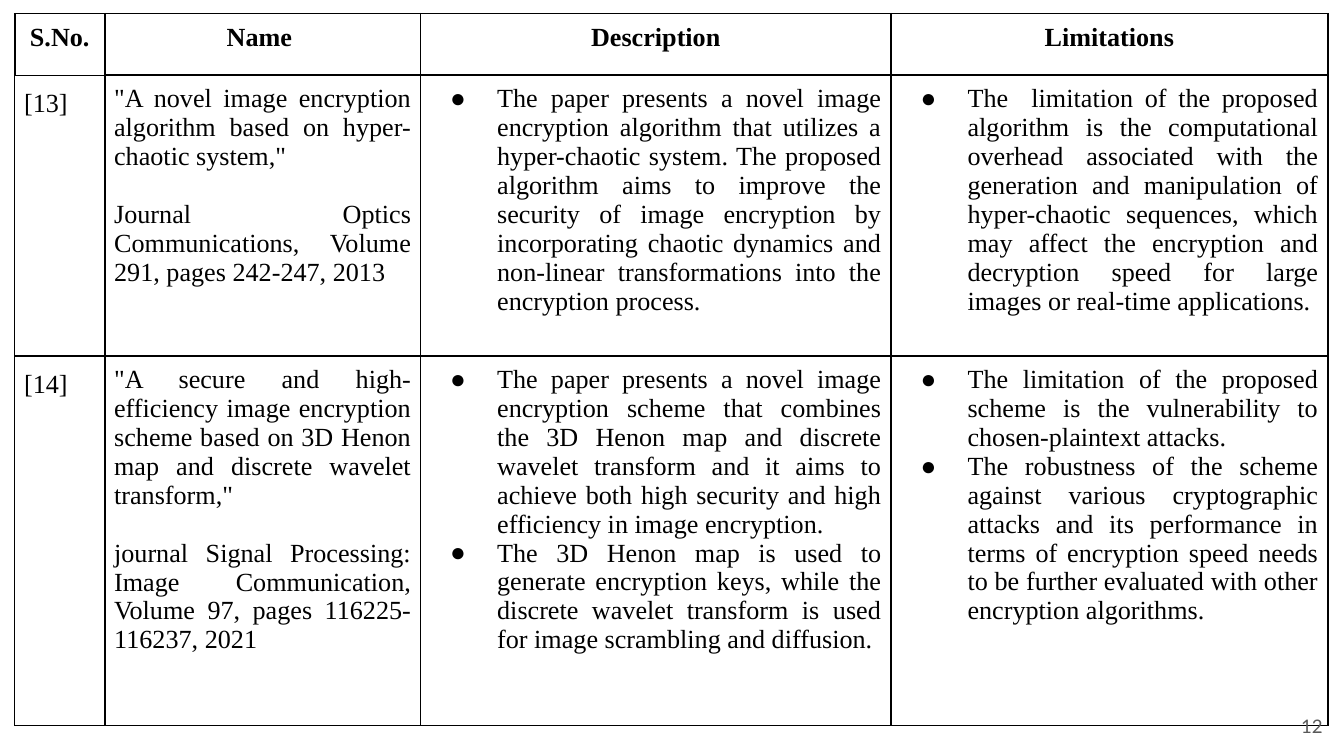
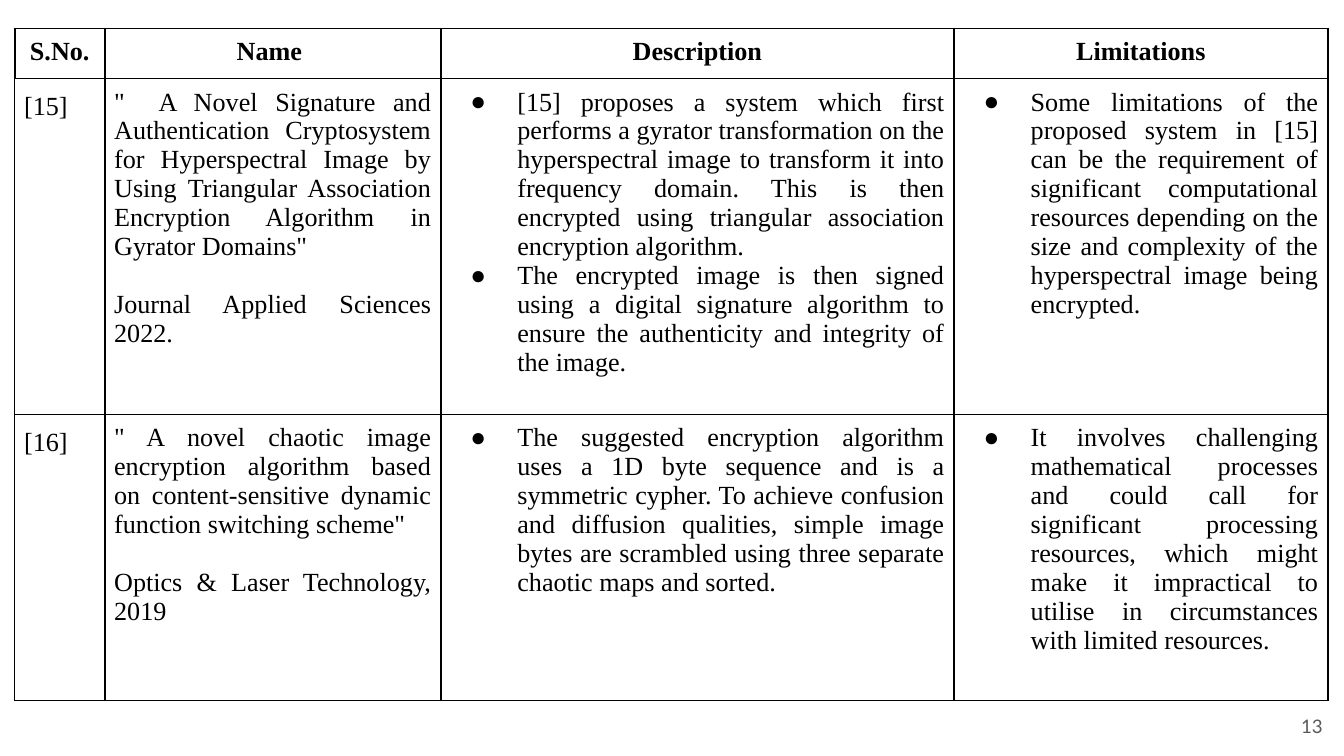
import pptx
import pptx.dml.color
import pptx.enum.text
import pptx.oxml
import pptx.oxml.ns
import pptx.util
import lxml.etree

Inches = pptx.util.Inches
Pt = pptx.util.Pt
ALIGN = pptx.enum.text.PP_ALIGN
BLACK = "000000"
GREY = "595959"
BODY_FONT = "Times New Roman"
HEADINGS = ["S.No.", "Name ", "Description", "Limitations"]

surveys = [
    {
        "page": "12",
        "top": 0.1,
        "columns": [0.67, 2.35, 3.5, 3.25],
        "rows": [0.46, 2.09, 2.75],
        "papers": [
            [
                ["[13]"],
                [
                    "\"A novel image encryption algorithm based on hyper-chaotic system,\"",
                    "Journal Optics Communications, Volume 291, pages 242-247, 2013",
                ],
                [
                    "The paper presents a novel image encryption algorithm that utilizes a hyper-chaotic system. "
                    "The proposed algorithm aims to improve the security of image encryption by incorporating "
                    "chaotic dynamics and non-linear transformations into the encryption process.",
                ],
                [
                    "The  limitation of the proposed algorithm is the computational overhead associated with the "
                    "generation and manipulation of hyper-chaotic sequences, which may affect the encryption and "
                    "decryption speed for large images or real-time applications. ",
                ],
            ],
            [
                ["[14]"],
                [
                    "\"A secure and high-efficiency image encryption scheme based on 3D Henon map and discrete "
                    "wavelet transform,\"",
                    "journal Signal Processing: Image Communication, Volume 97, pages 116225-116237, 2021",
                ],
                [
                    "The paper presents a novel image encryption scheme that combines the 3D Henon map and discrete "
                    "wavelet transform and it aims to achieve both high security and high efficiency in image "
                    "encryption. ",
                    "The 3D Henon map is used to generate encryption keys, while the discrete wavelet transform is "
                    "used for image scrambling and diffusion.",
                ],
                [
                    "The limitation of the proposed scheme is the vulnerability to chosen-plaintext attacks.",
                    "The robustness of the scheme against various cryptographic attacks and its performance in terms "
                    "of encryption speed needs to be further evaluated with other encryption algorithms.",
                ],
            ],
        ],
    },
    {
        "page": "13",
        "top": 0.21,
        "columns": [0.67, 2.5, 3.82, 2.78],
        "rows": [0.16, 2.5, 2.13],
        "papers": [
            [
                ["[15]"],
                [
                    "\"  A Novel Signature and Authentication Cryptosystem for Hyperspectral Image by Using "
                    "Triangular Association Encryption Algorithm in Gyrator Domains\" ",
                    "Journal Applied Sciences 2022. ",
                ],
                [
                    "[15] proposes a system which first performs a gyrator transformation on the hyperspectral image "
                    "to transform it into frequency domain. This is then encrypted using triangular association "
                    "encryption algorithm. ",
                    "The encrypted image is then signed using a digital signature algorithm to ensure the "
                    "authenticity and integrity of the image.",
                ],
                [
                    "Some limitations of the proposed system in [15] can be the requirement of significant "
                    "computational resources depending on the size and complexity of the hyperspectral image being "
                    "encrypted.",
                ],
            ],
            [
                ["[16]"],
                [
                    "\" A novel chaotic image encryption algorithm based on content-sensitive dynamic function "
                    "switching scheme\" ",
                    "Optics & Laser Technology, 2019",
                ],
                [
                    "The suggested encryption algorithm uses a 1D byte sequence and is a symmetric cypher. To achieve "
                    "confusion and diffusion qualities, simple image bytes are scrambled using three separate chaotic "
                    "maps and sorted. ",
                ],
                [
                    "It involves challenging mathematical processes and could call for significant processing "
                    "resources, which might make it impractical to utilise in circumstances with limited resources.",
                ],
            ],
        ],
    },
]


def add_run(paragraph, text, font_name, size, color, bold=False):
    run = paragraph.add_run()
    run.text = text
    run.font.name = font_name
    run.font.size = Pt(size)
    run.font.bold = bold
    run.font.color.rgb = pptx.dml.color.RGBColor.from_string(color)


def add_xml(parent, tag, **attributes):
    element = lxml.etree.SubElement(parent, pptx.oxml.ns.qn(tag))
    for name, value in attributes.items():
        element.set(name, str(value))
    return element


presentation = pptx.Presentation()
presentation.slide_width = Inches(10)
presentation.slide_height = Inches(10 * 9 / 16)

for survey in surveys:
    slide = presentation.slides.add_slide(presentation.slide_layouts[6])
    widths, heights = survey["columns"], survey["rows"]
    table = slide.shapes.add_table(
        len(heights), len(widths), Inches(0.11), Inches(survey["top"]),
        Inches(sum(widths)), Inches(sum(heights)),
    ).table
    table.first_row = False
    table.horz_banding = False
    for column, width in zip(table.columns, widths):
        column.width = Inches(width)
    for row, height in zip(table.rows, heights):
        row.height = Inches(height)

    contents = [[[heading] for heading in HEADINGS]] + survey["papers"]
    for row_index, row_content in enumerate(contents):
        is_header = row_index == 0
        for column_index, texts in enumerate(row_content):
            is_number = column_index == 0
            cell = table.cell(row_index, column_index)
            cell.margin_left = cell.margin_right = Inches(0.07)
            cell.margin_top = cell.margin_bottom = Inches(0.07)
            borders = {
                "a:lnL": 0.75 if is_number and not is_header else 1,
                "a:lnR": 1,
                "a:lnT": 0.75 if is_number or is_header else 1,
                "a:lnB": 0.75 if is_number else 1,
            }
            for tag, points in borders.items():
                line = add_xml(cell._tc.get_or_add_tcPr(), tag, w=Pt(points))
                add_xml(add_xml(line, "a:solidFill"), "a:srgbClr", val=BLACK)
            cell.fill.background()

            for text_index, text in enumerate(texts):
                frame = cell.text_frame
                paragraph = frame.add_paragraph() if text_index else frame.paragraphs[0]
                paragraph.alignment = ALIGN.CENTER if is_header else ALIGN.JUSTIFY
                if is_number and not is_header:
                    paragraph.line_spacing = 1.15
                if column_index == 1 and text_index:
                    paragraph.space_before = Pt(15.5)
                if column_index > 1 and not is_header:
                    properties = paragraph._p.get_or_add_pPr()
                    properties.set("marL", str(Inches(0.5)))
                    properties.set("indent", str(Inches(-0.35)))
                    add_xml(add_xml(properties, "a:buClr"), "a:srgbClr", val=BLACK)
                    add_xml(properties, "a:buFont", typeface=BODY_FONT)
                    add_xml(properties, "a:buChar", char="●")
                add_run(paragraph, text, BODY_FONT, 14, BLACK, bold=is_header)

    page_box = slide.shapes.add_textbox(Inches(9.34), Inches(5.19), Inches(0.6), Inches(0.43))
    frame = page_box.text_frame
    frame.word_wrap = True
    frame.vertical_anchor = pptx.enum.text.MSO_ANCHOR.MIDDLE
    frame.margin_left = frame.margin_right = Inches(0.1)
    frame.margin_top = frame.margin_bottom = Inches(0.1)
    paragraph = frame.paragraphs[0]
    paragraph.alignment = ALIGN.RIGHT
    add_run(paragraph, survey["page"], "Lato", 10, GREY)

presentation.save("out.pptx")
